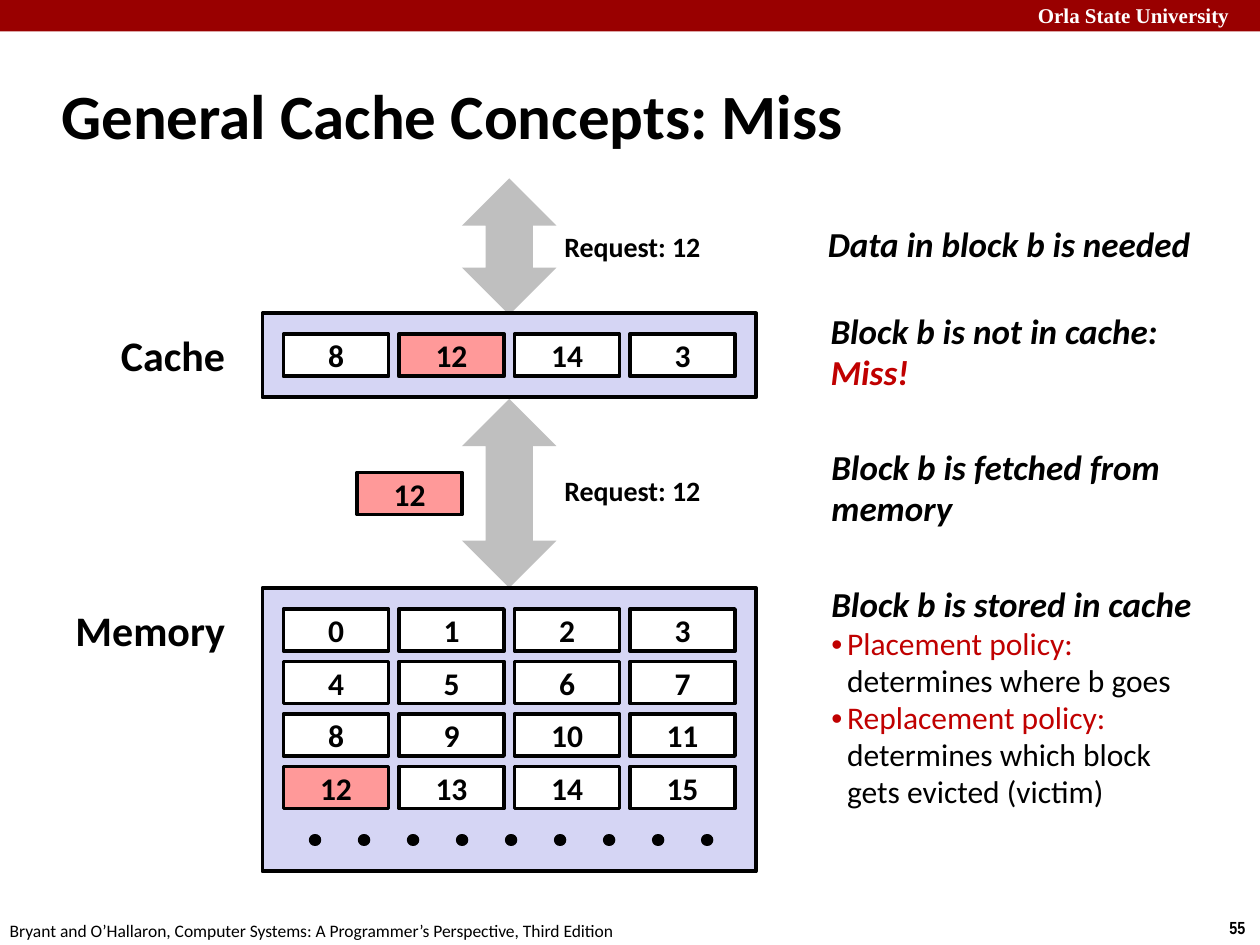
from lxml.etree import SubElement
from pptx import Presentation
from pptx.dml.color import RGBColor
from pptx.enum.dml import MSO_LINE
from pptx.enum.shapes import MSO_CONNECTOR, MSO_SHAPE
from pptx.enum.text import MSO_ANCHOR, PP_ALIGN
from pptx.oxml.ns import qn
from pptx.util import Pt

COLORS = {
    "banner": "990000", "paper": "FFFFFF", "ink": "000000", "arrow": "BFBFBF",
    "store": "D5D5F4", "requested": "FF9999", "accent": "C00000",
}
BLOCK_WIDTH, BLOCK_HEIGHT = 60, 24
COLUMN_PITCH, ROW_PITCH = 66, 30
STORE_MARGIN = 12
REQUESTED_BLOCK = 12


def color(name):
    """Return the named colour of the palette."""
    return RGBColor.from_string(COLORS[name])


def write(paragraph, text, size=20, font="Calibri", ink="ink", bold=True,
          italic=False, align=PP_ALIGN.LEFT, spacing=None):
    """Append formatted text to a paragraph, breaking lines at newlines."""
    paragraph.alignment = align
    if spacing:
        paragraph.line_spacing = spacing
    for number, line in enumerate(text.split("\n")):
        if number:
            paragraph.add_line_break()
        if line:
            run = paragraph.add_run()
            run.text = line
            run.font.size, run.font.name = Pt(size), font
            run.font.bold, run.font.italic = bold, italic
            run.font.color.rgb = color(ink)


def add_frame(slide, box, anchor=MSO_ANCHOR.TOP):
    """Add an unwrapped text box and return its text frame."""
    frame = slide.shapes.add_textbox(*map(Pt, box)).text_frame
    frame.word_wrap = False
    frame.vertical_anchor = anchor
    return frame


def add_label(slide, box, text, anchor=MSO_ANCHOR.TOP, **style):
    """Add a text box with a single formatted paragraph."""
    write(add_frame(slide, box, anchor).paragraphs[0], text, **style)


def add_filled(slide, kind, box, fill, outlined=True):
    """Add a flat preset shape, with or without the heavy outline."""
    shape = slide.shapes.add_shape(kind, *map(Pt, box))
    shape.shadow.inherit = False
    shape.fill.solid()
    shape.fill.fore_color.rgb = color(fill)
    if outlined:
        shape.line.color.rgb = color("ink")
        shape.line.width = Pt(2.25)
    else:
        shape.line.fill.background()
    return shape


def add_block(slide, left, top, number):
    """Add one numbered block, tinted when it is the requested one."""
    fill = "requested" if number == REQUESTED_BLOCK else "paper"
    block = add_filled(slide, MSO_SHAPE.RECTANGLE,
                       (left, top, BLOCK_WIDTH, BLOCK_HEIGHT), fill)
    block.text_frame.vertical_anchor = MSO_ANCHOR.MIDDLE
    write(block.text_frame.paragraphs[0], str(number), size=18, align=PP_ALIGN.CENTER)


def add_store(slide, box, numbers):
    """Add a store whose blocks fill rows of four."""
    left, top = box[:2]
    add_filled(slide, MSO_SHAPE.RECTANGLE, box, "store")
    for position, number in enumerate(numbers):
        row, column = divmod(position, 4)
        add_block(slide, left + STORE_MARGIN + column * COLUMN_PITCH,
                  top + STORE_MARGIN + row * ROW_PITCH, number)


def add_continuation(slide, left, top, width):
    """Add a row of round dots standing for further blocks."""
    dots = slide.shapes.add_connector(
        MSO_CONNECTOR.STRAIGHT, Pt(left), Pt(top), Pt(left + width), Pt(top))
    dots.line.color.rgb = color("ink")
    dots.line.width = Pt(7)
    dots.line.dash_style = MSO_LINE.ROUND_DOT
    outline = dots.line._get_or_add_ln()
    outline.find(qn("a:prstDash")).set("val", "dot")
    outline.set("cap", "rnd")
    SubElement(dots._element.spPr, qn("a:effectLst"))


def add_transfer(slide, box, label_top):
    """Add a two-way arrow with the request beside it."""
    left, _, width, _ = box
    add_filled(slide, MSO_SHAPE.UP_DOWN_ARROW, box, "arrow", outlined=False)
    add_label(slide, (left + width - 3.4, label_top, 93.6, 26.6), "Request: 12",
              size=16, align=PP_ALIGN.CENTER)


def add_step(slide, box, *lines):
    """Add a step of the explanation from pairs of text and colour."""
    frame = add_frame(slide, box, MSO_ANCHOR.MIDDLE)
    for number, (text, ink) in enumerate(lines):
        paragraph = frame.add_paragraph() if number else frame.paragraphs[0]
        write(paragraph, text, ink=ink, italic=True, spacing=0.98)
    return frame


def add_policy(frame, name, meaning):
    """Add a bulleted policy with its meaning on the following lines."""
    paragraph = frame.add_paragraph()
    write(paragraph, name + "\n", size=18, ink="accent", bold=False, spacing=0.98)
    write(paragraph, meaning, size=18, bold=False)
    properties = paragraph._p.get_or_add_pPr()
    properties.set("marL", str(Pt(9)))
    properties.set("indent", str(Pt(-9)))
    SubElement(SubElement(properties, qn("a:buClr")), qn("a:srgbClr"), val=COLORS["accent"])
    SubElement(properties, qn("a:buFont"), typeface="Arial")
    SubElement(properties, qn("a:buChar"), char="•")


def add_page_frame(slide, width, height):
    """Add the banner, the citation and the page number."""
    add_filled(slide, MSO_SHAPE.RECTANGLE, (0, 0, width, 18), "banner", outlined=False)
    add_label(slide, (width - 134, -2, 139, 21.6), "Orla State University",
              size=12, font="Times New Roman", ink="paper")
    add_label(slide, (-1.5, height - 18, 366, 19.4),
              "Bryant and O’Hallaron, Computer Systems: "
              "A Programmer’s Perspective, Third Edition", size=10, bold=False)
    add_label(slide, (width - 24.5, height - 19.4, 24.5, 19.4), "55",
              size=10, font="Arial Narrow")


def add_diagram(slide, left, top):
    """Add the cache, the memory and the transfers between them."""
    arrow_left = left + 114
    cache_top, memory_top = top + 77, top + 234
    add_transfer(slide, (arrow_left, top, 54, 78), top + 25.5)
    add_transfer(slide, (arrow_left, top + 126, 54, 108), top + 165)
    add_store(slide, (left, cache_top, 282, 48), [8, 12, 14, 3])
    add_store(slide, (left, memory_top, 282, 162), range(16))
    add_continuation(slide, left + 30, memory_top + 144, 240)
    add_block(slide, left + 54, top + 168, REQUESTED_BLOCK)
    add_label(slide, (left - 88, cache_top + 6, 75, 36), "Cache", size=24)
    add_label(slide, (left - 114, memory_top + 6, 101, 36), "Memory", size=24)


def add_explanation(slide, left, top):
    """Add the steps that follow a miss."""
    add_step(slide, (left - 2, top, 222.5, 31), ("Data in block b is needed", "ink"))
    add_step(slide, (left - 0.5, top + 49.7, 202.3, 54.7),
             ("Block b is not in cache:", "ink"), ("Miss!", "accent"))
    add_step(slide, (left, top + 127.4, 203.8, 54.7),
             ("Block b is fetched from", "ink"), ("memory", "ink"))
    storing = add_step(slide, (left, top + 205.2, 221, 138.2),
                       ("Block b is stored in cache", "ink"))
    add_policy(storing, "Placement policy:", "determines where b goes")
    add_policy(storing, "Replacement policy:", "determines which block\ngets evicted (victim)")


def main():
    """Build and save the slide."""
    deck = Presentation()
    deck.slide_width, deck.slide_height = Pt(720), Pt(540)
    slide = deck.slides.add_slide(deck.slide_layouts[6])
    add_page_frame(slide, 720, 540)
    add_label(slide, (28, 35.3, 598, 60), "General Cache Concepts: Miss",
              anchor=MSO_ANCHOR.MIDDLE, size=36)
    add_diagram(slide, 150, 102)
    add_explanation(slide, 468, 124.6)
    deck.save("out.pptx")


if __name__ == "__main__":
    main()
